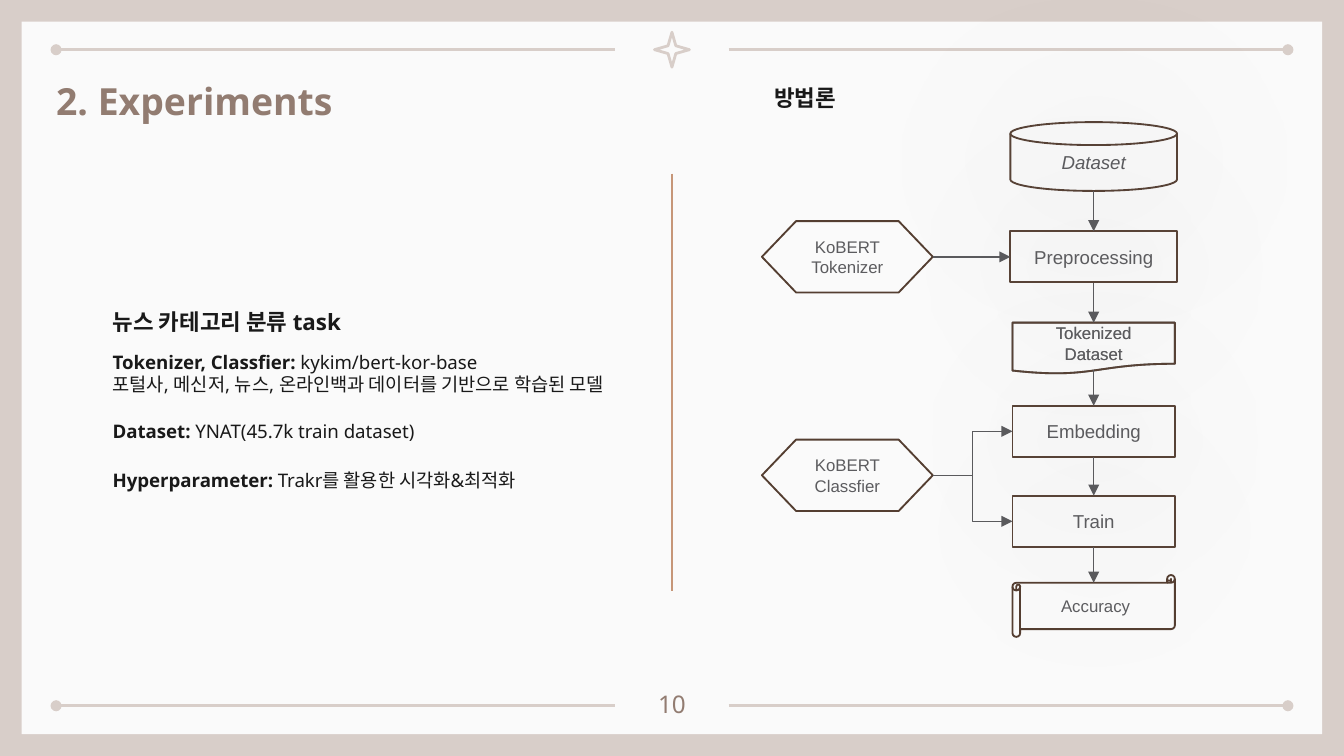
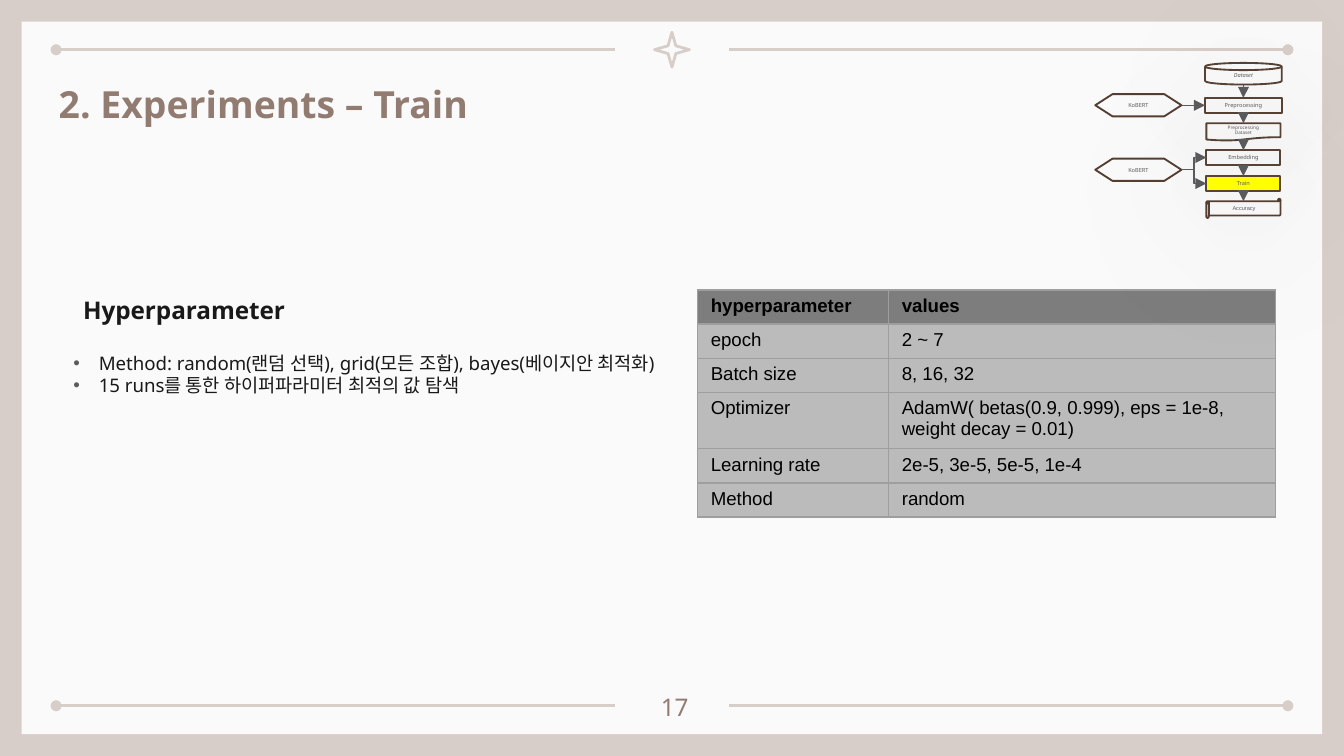
from dataclasses import dataclass
from lxml.etree import SubElement
from pptx import Presentation
from pptx.dml.color import RGBColor
from pptx.enum.shapes import MSO_CONNECTOR as LINK, MSO_SHAPE as KIND
from pptx.enum.text import MSO_ANCHOR as ANCHOR, PP_ALIGN as ALIGN
from pptx.oxml import parse_xml
from pptx.oxml.ns import nsdecls, qn
from pptx.util import Cm, Pt


@dataclass(frozen=True)
class Theme:
    band: str = "D8CEC9"
    paper: str = "FAFAFA"
    title: str = "927C71"
    ink: str = "191919"
    grey: str = "5C5C5F"
    edge: str = "584337"
    dark: str = "543E31"
    arrow: str = "5A5A5D"
    rule: str = "C69678"
    mark: str = "FFFF00"
    black: str = "000000"
    head: str = "7D7D7D"
    cell: str = "BBBBBB"
    grid: str = "9E9E9E"
    sans: str = "Noto Sans"
    arial: str = "Arial"
    big: int = 20
    mid: int = 13
    sub: int = 12
    body: int = 10
    small: int = 9
    tiny: int = 3
    least: float = 2.5


T = Theme()

# Text boxes: left, top, width, height in cm, then paragraphs of (text, bold) runs
TASK = (1.88, 5.57, 10.49, 0.94), "뉴스 카테고리 분류 task"
METHOD = (14.38, 1.35, 10, 1.12), "방법론"
NOTES = [
    ((1.88, 6.38, 10.82, 1.4),
     [[("Tokenizer, Classfier: ", True), ("kykim/bert-kor-base", False)],
      [("포털사, 메신저, 뉴스, 온라인백과 데이터를 기반으로 학습된 모델", False)]]),
    ((1.88, 7.72, 10.49, 0.94),
     [[("Dataset: ", True), ("YNAT(45.7k train dataset)", False)]]),
    ((1.88, 8.65, 10.49, 0.94),
     [[("Hyperparameter: ", True), ("Trakr를 활용한 시각화&최적화", False)]]),
]
TUNING = (1.32, 5.34, 4.57, 1.02), "Hyperparameter"
POINTS = (1.14, 6.4, 13.13, 1.27), [
    [("Method: random(랜덤 선택), grid(모든 조합), bayes(베이지안 최적화)", False)],
    [("15 runs를 통한 하이퍼파라미터 최적의 값 탐색", False)],
]
PARAMS = [
    ("hyperparameter", "values"),
    ("epoch", "2 ~ 7"),
    ("Batch size", "8, 16, 32"),
    ("Optimizer", "AdamW( betas(0.9, 0.999), eps = 1e-8, weight decay = 0.01)"),
    ("Learning rate", "2e-5, 3e-5, 5e-5, 1e-4"),
    ("Method", "random"),
]
TABLE = dict(left=13.18, top=5.48, cols=(3.61, 7.32), row=0.53, pad=0.11)

DISK, BOX, DOC = KIND.FLOWCHART_MAGNETIC_DISK, KIND.RECTANGLE, KIND.FLOWCHART_DOCUMENT
HEX, SCROLL = KIND.FLOWCHART_PREPARATION, KIND.HORIZONTAL_SCROLL
STEPS = [("data", DISK), ("prep", BOX), ("tokens", DOC),
         ("embed", BOX), ("train", BOX), ("score", SCROLL)]
FEEDS = [("tokenizer", "prep"), ("classifier", "embed"), ("classifier", "train")]
NAMES = dict(data="Dataset", prep="Preprocessing", tokens="Tokenized\nDataset",
             embed="Embedding", train="Train", score="Accuracy",
             tokenizer="KoBERT\nTokenizer", classifier="KoBERT\nClassfier")

# Steps share the axis; each has top, width, height. Models share left and size.
FULL = dict(
    axis=20.67, names=NAMES, font=T.arial, lit=None, pad=0.12,
    sizes={DISK: T.body, BOX: T.body, DOC: T.small, HEX: T.small, SCROLL: T.small},
    steps=[(2.31, 3.15, 1.3), (4.37, 3.15, 0.97), (6.1, 3.07, 0.97),
           (7.67, 3.07, 0.97), (9.37, 3.07, 0.97), (10.87, 3.07, 1.17)],
    model=(14.4, 3.23, 1.35), tops=dict(tokenizer=4.18, classifier=8.31))
MINI = dict(
    axis=23.5, font=T.sans, lit="train", pad=0,
    sizes={DISK: T.tiny, BOX: T.tiny, DOC: T.least, HEX: T.tiny, SCROLL: T.tiny},
    names=NAMES | dict(tokens="Preprocessing\nDataset", tokenizer="KoBERT",
                       classifier="KoBERT"),
    steps=[(1.19, 1.45, 0.41), (1.85, 1.45, 0.28), (2.33, 1.4, 0.33),
           (2.84, 1.4, 0.28), (3.33, 1.4, 0.28), (3.76, 1.4, 0.36)],
    model=(20.7, 1.63, 0.42), tops=dict(tokenizer=1.78, classifier=3.0))


def rgb(code):
    return RGBColor.from_string(code)


def style(para, size, color, font=T.sans, bold=None, italic=None):
    for run in para.runs:
        face = run.font
        face.size, face.name, face.color.rgb = Pt(size), font, rgb(color)
        if bold is not None:
            face.bold = bold
        face.italic = italic


def shape(page, kind, at, fill=None, edge=None, width=1):
    item = page.shapes.add_shape(kind, *map(Cm, at))
    item.shadow.inherit = False
    if fill:
        item.fill.solid()
        item.fill.fore_color.rgb = rgb(fill)
    else:
        item.fill.background()
    if edge:
        item.line.color.rgb, item.line.width = rgb(edge), Pt(width)
    else:
        item.line.fill.background()
    return item


def shade(item, blur, dist, alpha):
    """Give the shape a black outer shadow; blur and dist in points."""
    glow = SubElement(item._element.spPr.find(qn("a:effectLst")), qn("a:outerShdw"),
                      blurRad=str(Pt(blur)), dist=str(Pt(dist)), dir="5400000",
                      algn="bl", rotWithShape="0")
    tint = SubElement(glow, qn("a:srgbClr"), val=T.black)
    SubElement(tint, qn("a:alpha"), val=str(alpha * 1000))


def line(page, start, end, color, width=0.75, head=None, tail=None, kind=LINK.STRAIGHT):
    item = page.shapes.add_connector(kind, *map(Cm, start + end))
    item.line.color.rgb, item.line.width = rgb(color), Pt(width)
    for tag, tip in (("a:headEnd", head), ("a:tailEnd", tail)):
        if tip:
            SubElement(item.line._get_or_add_ln(), qn(tag), type=tip)
    SubElement(item._element.spPr, qn("a:effectLst"))
    return item


def text(page, at, paras, size, color, bold=None, align=None, anchor=ANCHOR.TOP):
    """Add a text box; paras is a string or a list of lists of (text, bold)."""
    frame = page.shapes.add_textbox(*map(Cm, at)).text_frame
    frame.word_wrap, frame.vertical_anchor = True, anchor
    frame.margin_left = frame.margin_right = Cm(0.25)
    frame.margin_top = frame.margin_bottom = Cm(0.25)
    if isinstance(paras, str):
        paras = [[(paras, bold)]]
    for i, runs in enumerate(paras):
        para = frame.add_paragraph() if i else frame.paragraphs[0]
        para.alignment = align
        for words, heavy in runs:
            run = para.add_run()
            run.text, run.font.bold = words, heavy
        style(para, size, color)
    return frame


def bullet(para):
    props = para._p.get_or_add_pPr()
    props.set("marL", str(Cm(0.48)))
    props.set("indent", str(-Cm(0.48)))
    tint = SubElement(props, qn("a:buClr"))
    SubElement(tint, qn("a:srgbClr"), val=T.grey)
    SubElement(props, qn("a:buFont"), typeface=T.arial)
    SubElement(props, qn("a:buChar"), char="•")


def base(deck, title, number, wide, shift=0.0):
    """Add a slide with its frame, title (wide cm across) and page number."""
    page = deck.slides.add_slide(deck.slide_layouts[6])
    page.background.fill.solid()
    page.background.fill.fore_color.rgb = rgb(T.band)
    shape(page, BOX, (0.41, 0.41, 24.58, 13.47), T.paper)
    for y in (0.94, 13.34):
        line(page, (1.06, y), (11.63, y), T.band, 1.5, head="oval")
        line(page, (13.77, y), (24.34, y), T.band, 1.5, tail="oval")
    star = shape(page, KIND.STAR_4_POINT, (12.37, 0.61, 0.66, 0.66), edge=T.band, width=1.5)
    star.adjustments[0] = 0.157
    text(page, (11.94 + shift, 12.78 + shift, 1.52, 0.91), number, T.mid, T.title,
         align=ALIGN.CENTER)
    text(page, (0.81 + shift, 1.35 + shift, wide, 1.12), title, T.big, T.title, True,
         anchor=ANCHOR.MIDDLE)
    return page


def node(page, plan, key, kind, at):
    edge = T.dark if kind in (HEX, SCROLL) else T.edge
    item = shape(page, kind, at, T.mark if key == plan["lit"] else None, edge)
    if kind in (DISK, BOX):
        shade(item, 100, 4, 43)
    elif kind == DOC and plan["pad"]:
        shade(item, 0, 0, 50)
    frame = item.text_frame
    frame.text, frame.vertical_anchor = plan["names"][key], ANCHOR.MIDDLE
    frame.margin_top = frame.margin_bottom = Cm(plan["pad"])
    frame.margin_left = frame.margin_right = Cm(plan["pad"] * 2)
    font = T.arial if kind == SCROLL else plan["font"]
    for para in frame.paragraphs:
        para.alignment = ALIGN.CENTER
        style(para, plan["sizes"][kind], T.grey, font, italic=kind == DISK or None)
    return item


def flow(page, plan):
    nodes, spots = {}, {}
    for (key, kind), (top, wide, high) in zip(STEPS, plan["steps"]):
        spots[key] = plan["axis"] - wide / 2, top, wide, high
        nodes[key] = node(page, plan, key, kind, spots[key])
    left, wide, high = plan["model"]
    for key, top in plan["tops"].items():
        spots[key] = left, top, wide, high
        nodes[key] = node(page, plan, key, HEX, spots[key])

    for (a, above), (b, below) in zip(STEPS, STEPS[1:]):
        high = spots[a][3]
        start = spots[a][1] + high * (0.93 if above == DOC else 1)
        end = spots[b][1] + (spots[b][3] / 8 if below == SCROLL else 0)
        link = line(page, (plan["axis"], start), (plan["axis"], end), T.arrow,
                    tail="triangle")
        if above == BOX:
            link.begin_connect(nodes[a], 2)
        if below == BOX:
            link.end_connect(nodes[b], 0)

    for a, b in FEEDS:
        x, y, wide, high = spots[a]
        left, top, _, deep = spots[b]
        kind = LINK.STRAIGHT if a == "tokenizer" else LINK.ELBOW
        link = line(page, (x + wide, y + high / 2), (left, top + deep / 2), T.arrow,
                    tail="triangle", kind=kind)
        link.begin_connect(nodes[a], 3)
        link.end_connect(nodes[b], 1)


def border(cell):
    props = cell._tc.get_or_add_tcPr()
    for i, side in enumerate("LRTB"):
        props.insert(i, parse_xml(
            f'<a:ln{side} {nsdecls("a")} w="{Pt(0.75)}"><a:solidFill>'
            f'<a:srgbClr val="{T.grid}"/></a:solidFill></a:ln{side}>'))


def table(page):
    cols, row = TABLE["cols"], TABLE["row"]
    grid = page.shapes.add_table(
        len(PARAMS), len(cols), Cm(TABLE["left"]), Cm(TABLE["top"]),
        Cm(sum(cols)), Cm(row * len(PARAMS))).table
    for col, wide in zip(grid.columns, cols):
        col.width = Cm(wide)
    for r, words in enumerate(PARAMS):
        for c, word in enumerate(words):
            cell = grid.cell(r, c)
            cell.text = word
            cell.margin_top = cell.margin_bottom = Cm(TABLE["pad"])
            cell.fill.solid()
            cell.fill.fore_color.rgb = rgb(T.cell if r else T.head)
            style(cell.text_frame.paragraphs[0], T.body, T.black, T.arial, r == 0)
            border(cell)


def main():
    deck = Presentation()
    deck.slide_width, deck.slide_height = Cm(25.4), Cm(14.29)

    page = base(deck, "2. Experiments", "10", 6.15)
    for at, words in (TASK, METHOD):
        text(page, at, words, T.sub, T.ink, True)
    for at, paras in NOTES:
        text(page, at, paras, T.body, T.ink)
    line(page, (12.7, 3.28), (12.7, 11.18), T.rule)
    flow(page, FULL)

    page = base(deck, "2. Experiments – Train", "17", 15.27, 0.05)
    text(page, *TUNING, T.mid, T.ink, True)
    for para in text(page, *POINTS, T.body, T.ink).paragraphs:
        bullet(para)
    table(page)
    flow(page, MINI)

    deck.save("out.pptx")


if __name__ == "__main__":
    main()
